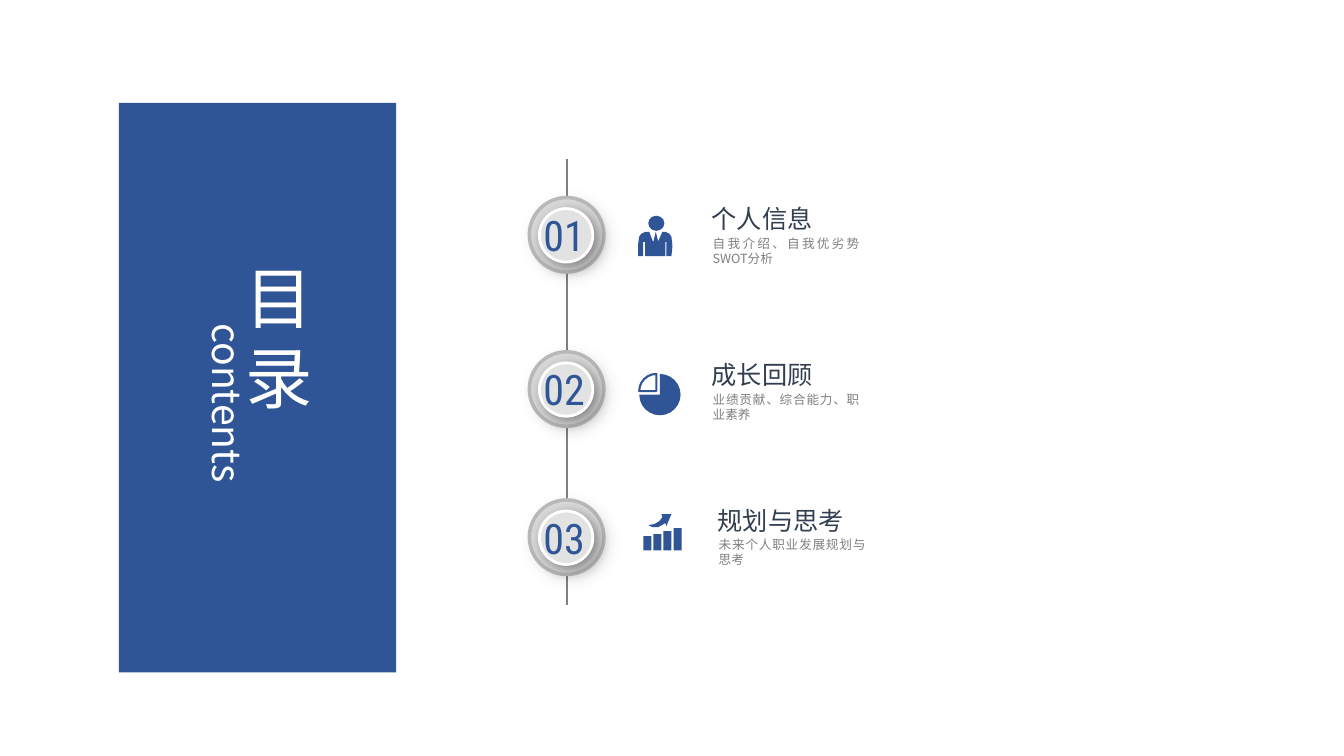
"""Build the contents slide with a blue panel and a three-step timeline."""
from lxml.etree import SubElement
from pptx import Presentation
from pptx.dml.color import RGBColor
from pptx.enum.shapes import MSO_SHAPE
from pptx.enum.text import PP_ALIGN
from pptx.oxml import parse_xml
from pptx.oxml.ns import nsdecls, qn
from pptx.util import Inches, Pt

BLUE, GREY, WHITE = "2F5597", "808080", "FFFFFF"
SANS = "Noto Sans CJK SC"
rgb = RGBColor.from_string

deck = Presentation()
deck.slide_width, deck.slide_height = Inches(13.33), Inches(7.5)
slide = deck.slides.add_slide(deck.slide_layouts[6])
shapes = slide.shapes


def add_form(kind, left, top, width, height, fill=BLUE):
    form = shapes.add_shape(kind, Inches(left), Inches(top), Inches(width), Inches(height))
    form.shadow.inherit = False
    form.fill.solid()
    form.fill.fore_color.rgb = rgb(fill)
    form.line.fill.background()
    return form


def add_text(text, left, top, width, height, size, color, name=SANS):
    box = shapes.add_textbox(Inches(left), Inches(top), Inches(width), Inches(height))
    frame = box.text_frame
    frame.word_wrap = True
    frame.text = text
    font = frame.paragraphs[0].font
    font.size, font.name = Pt(size), name
    font.color.rgb = rgb(color)
    SubElement(font._element, qn("a:ea")).set("typeface", name)
    return frame


axis = shapes.add_connector(1, Inches(5.62), Inches(1.58), Inches(5.62), Inches(6))
axis.line.color.rgb = rgb(GREY)
axis.line.width = Pt(1.5)
SubElement(axis._element.spPr, qn("a:effectLst"))

steps = [
    ("01", 1.96, 6.96, 1.97, "个人信息", "自我介绍、自我优劣势SWOT分析"),
    ("02", 3.49, 6.96, 3.52, "成长回顾", "业绩贡献、综合能力、职业素养"),
    ("03", 4.96, 7.02, 4.96, "规划与思考", "未来个人职业发展规划与思考"),
]
for number, top, left, head, title, detail in steps:
    rings = [
        (5.25, top, 0.74, "D9D9D9", "B8B8B8", 2.5, 10),
        (5.35, top + 0.11, 0.53, "E2E2E2", WHITE, 2, 40),
    ]
    for x, y, size, fill, edge, width, alpha in rings:
        ring = add_form(MSO_SHAPE.OVAL, x, y, size, size, fill)
        ring.line.color.rgb = rgb(edge)
        ring.line.width = Pt(width)
        ring._element.spPr.remove(ring._element.spPr.find(qn("a:effectLst")))
        ring._element.spPr.append(parse_xml(
            f'<a:effectLst {nsdecls("a")}><a:outerShdw blurRad="{Pt(10)}" dist="{Pt(4)}" '
            f'dir="2700000" algn="tl" rotWithShape="0"><a:srgbClr val="000000">'
            f'<a:alpha val="{alpha * 1000}"/></a:srgbClr></a:outerShdw></a:effectLst>'))
    label = add_text(number, 5.32, top + 0.08, 0.7, 0.58, 30, BLUE, "Roboto Condensed")
    label.margin_left = label.margin_right = Inches(0.07)
    label.margin_top = label.margin_bottom = Inches(0.04)
    add_text(title, left, head, 1.78, 0.4, 18, "333F50")
    note = add_text(detail, left + 0.01, head + 0.32, 1.65, 0.4, 9, GREY)
    note.paragraphs[0].alignment = PP_ALIGN.JUSTIFY

add_form(MSO_SHAPE.OVAL, 6.43, 2.14, 0.16, 0.15)
suit = [
    (666, 235), (664, 232), (660, 230), (657, 230), (650, 246), (653, 240),
    (651, 232), (650, 230), (650, 232), (648, 240), (650, 246), (644, 230),
    (640, 230), (636, 232), (634, 235), (633, 242), (633, 254), (638, 254),
    (638, 240), (640, 240), (640, 254), (660, 254), (660, 240), (661, 240),
    (661, 254), (666, 254), (667, 244),
]
arrow = [
    (657, 513), (654, 517), (649, 520), (643, 521), (647, 523), (653, 523),
    (660, 519), (661, 522), (666, 510), (656, 510),
]
for points in (suit, arrow):
    path = shapes.build_freeform(*points[0], scale=Inches(0.01))
    path.add_line_segments(points[1:], close=True)
    icon = path.convert_to_shape()
    icon.shadow.inherit = False
    icon.fill.solid()
    icon.fill.fore_color.rgb = rgb(BLUE)
    icon.line.fill.background()

pie = add_form(MSO_SHAPE.PIE, 6.34, 3.71, 0.41, 0.41)
pie.adjustments[0], pie.adjustments[1] = 162, 108
wedge = add_form(MSO_SHAPE.PIE, 6.34, 3.71, 0.34, 0.34, WHITE)
wedge.adjustments[0], wedge.adjustments[1] = 108, 162
wedge.line.color.rgb = rgb(BLUE)
wedge.line.width = Pt(1.5)

for i, height in enumerate((0.14, 0.16, 0.19, 0.22)):
    add_form(MSO_SHAPE.RECTANGLE, 6.38 + 0.1 * i, 5.46 - height, 0.08, height)

add_form(MSO_SHAPE.RECTANGLE, 1.18, 1.02, 2.75, 5.65)
add_text("目录", 2.34, 2.49, 0.94, 1.72, 48, WHITE)
side = add_text("contents", 1.88, 3.11, 0.67, 1.96, 28, WHITE)
side._txBody.bodyPr.set("vert", "eaVert")

deck.save("out.pptx")
